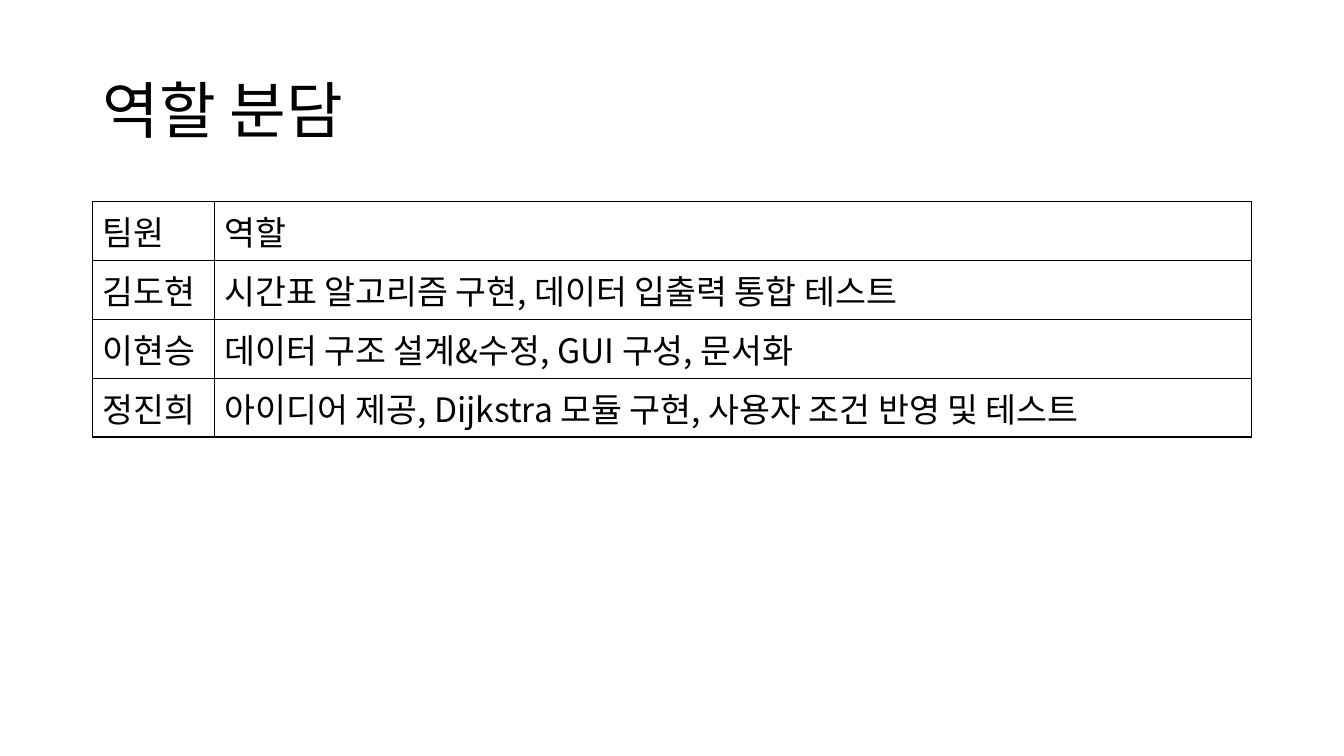
"""Build a slide that lists the team members and their roles."""
from lxml.etree import SubElement
from pptx import Presentation
from pptx.dml.color import RGBColor
from pptx.enum.text import MSO_ANCHOR as Anchor, PP_ALIGN as Align
from pptx.oxml.ns import qn
from pptx.util import Cm, Pt

BLACK = RGBColor(0, 0, 0)
FONT = "Noto Sans CJK KR"
LEFT, WIDTH = Cm(2.33), Cm(29.21)
COLUMN_WIDTHS = (Cm(3.07), Cm(26.14))
ROW_HEIGHT = Cm(1.48)
ROLES = (
    ("팀원", "역할"),
    ("김도현", "시간표 알고리즘 구현, 데이터 입출력 통합 테스트"),
    ("이현승", "데이터 구조 설계&수정, GUI 구성, 문서화"),
    ("정진희", "아이디어 제공, Dijkstra 모듈 구현, 사용자 조건 반영 및 테스트"),
)


def write(text_frame, text, size):
    text_frame.text = text
    paragraph = text_frame.paragraphs[0]
    paragraph.alignment = Align.LEFT
    for run in paragraph.runs:
        font = run.font
        font.name = FONT
        font.size = Pt(size)
        font.bold = False
        font.color.rgb = BLACK
        SubElement(font._element, qn("a:ea"), typeface=FONT)
    return paragraph


def add_title(slide, text):
    title = slide.shapes.title
    title.left, title.top = LEFT, Cm(1.01)
    title.width, title.height = WIDTH, Cm(3.68)
    title.text_frame.vertical_anchor = Anchor.MIDDLE
    write(title.text_frame, text, 44).line_spacing = 0.9


def add_borders(cell):
    properties = cell._tc.get_or_add_tcPr()
    for side in ("lnL", "lnR", "lnT", "lnB"):
        line = SubElement(properties, qn(f"a:{side}"), w=str(Pt(1)))
        fill = SubElement(line, qn("a:solidFill"))
        SubElement(fill, qn("a:srgbClr"), val=str(BLACK))


def add_role_table(slide, rows):
    frame = slide.shapes.add_table(
        len(rows), len(COLUMN_WIDTHS), LEFT, Cm(5.08), WIDTH, ROW_HEIGHT * len(rows)
    )
    table = frame.table
    table.first_row = False
    table.horz_banding = False
    for column, width in zip(table.columns, COLUMN_WIDTHS):
        column.width = width
    for row, texts in zip(table.rows, rows):
        row.height = ROW_HEIGHT
        for cell, text in zip(row.cells, texts):
            write(cell.text_frame, text, 24)
            add_borders(cell)
            cell.fill.background()


def main():
    presentation = Presentation()
    presentation.slide_width, presentation.slide_height = Cm(33.87), Cm(19.05)
    slide = presentation.slides.add_slide(presentation.slide_layouts[5])
    add_title(slide, "역할 분담")
    add_role_table(slide, ROLES)
    presentation.save("out.pptx")


if __name__ == "__main__":
    main()
